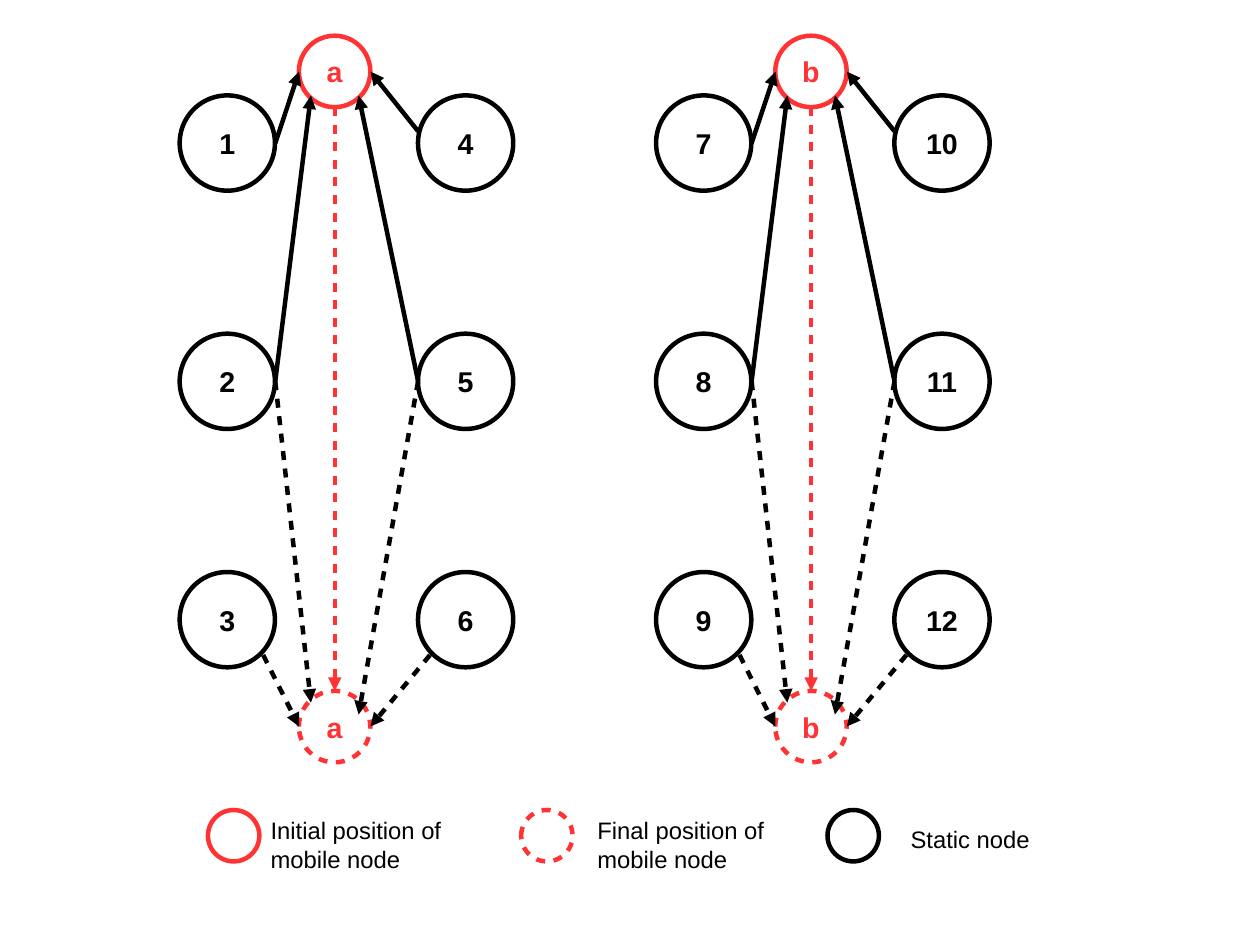
from dataclasses import dataclass

from lxml.etree import SubElement
from pptx import Presentation
from pptx.dml.color import RGBColor
from pptx.enum.shapes import MSO_CONNECTOR, MSO_SHAPE
from pptx.enum.text import MSO_ANCHOR, PP_ALIGN
from pptx.oxml.ns import qn
from pptx.slide import Slide
from pptx.text.text import TextFrame
from pptx.util import Pt

COLORS = {"static": "000000", "mobile": "FF3333", "fill": "FFFFFF", "text": "000000"}
FONT = "Arial"
LINE_WIDTH = 2.83
STATIC_SIZE, MOBILE_SIZE, LEGEND_SIZE = 60, 45, 32.4
GROUP_LEFT, GROUP_STEP = 113.2, 300.1
NODE_TOP, NODE_STEP = 60.1, 150.1
MOBILE_OFFSET, INITIAL_TOP, FINAL_TOP = 75.1, 22.5, 435.2
LEGEND_TOP = 510.2


@dataclass
class Circle:
    left: float
    top: float
    size: float
    color: str
    label: str = ""
    dashed: bool = False


@dataclass
class Arrow:
    x1: float
    y1: float
    x2: float
    y2: float
    color: str = "static"
    dashed: bool = False


@dataclass
class LegendItem:
    circle_left: float
    text_left: float
    text_top: float
    text: str
    color: str
    dashed: bool = False


ARROWS = [
    Arrow(97.7, 67.6, 97.7, 435.2, "mobile", True),
    Arrow(60.2, 90.2, 75.2, 45.1),
    Arrow(150.2, 82.7, 120.2, 45.1),
    Arrow(60.2, 240.2, 82.7, 60.2),
    Arrow(150.2, 240.2, 112.7, 60.2),
    Arrow(52.6, 412.6, 75.2, 457.6, dashed=True),
    Arrow(157.7, 412.6, 120.2, 457.6, dashed=True),
    Arrow(60.2, 240.2, 82.7, 442.6, dashed=True),
    Arrow(150.2, 240.2, 112.7, 450.1, dashed=True),
]

LEGEND = [
    LegendItem(131, 163.4, 510.2, "Initial position of mobile node", "mobile"),
    LegendItem(328.3, 369.3, 510.2, "Final position of mobile node", "mobile", True),
    LegendItem(521.3, 566.6, 515.9, "Static node", "static"),
]


def rgb(name: str) -> RGBColor:
    return RGBColor.from_string(COLORS[name])


def style_line(sp, color: str, dashed: bool) -> None:
    sp.line.color.rgb = rgb(color)
    sp.line.width = Pt(LINE_WIDTH)
    if dashed:
        dash = SubElement(sp.line._get_or_add_ln(), qn("a:custDash"))
        SubElement(dash, qn("a:ds"), d="200000", sp="190000")


def set_text(tf: TextFrame, text: str, size: float, color: str, bold: bool) -> None:
    tf.text = text
    for r in tf.paragraphs[0].runs:
        r.font.name = FONT
        r.font.size = Pt(size)
        r.font.bold = bold
        r.font.color.rgb = rgb(color)


def draw_circle(s: Slide, c: Circle) -> None:
    sp = s.shapes.add_shape(MSO_SHAPE.OVAL, Pt(c.left), Pt(c.top), Pt(c.size), Pt(c.size))
    sp.shadow.inherit = False
    sp.fill.solid()
    sp.fill.fore_color.rgb = rgb("fill")
    style_line(sp, c.color, c.dashed)
    if c.label:
        tf = sp.text_frame
        set_text(tf, c.label, 18, c.color, True)
        tf.word_wrap = False
        tf.vertical_anchor = MSO_ANCHOR.MIDDLE
        tf.margin_left = tf.margin_right = Pt(8.5)
        tf.margin_top = tf.margin_bottom = Pt(5)
        tf.paragraphs[0].alignment = PP_ALIGN.CENTER


def draw_arrow(s: Slide, a: Arrow, dx: float) -> None:
    cx = s.shapes.add_connector(
        MSO_CONNECTOR.STRAIGHT, Pt(a.x1 + dx), Pt(a.y1), Pt(a.x2 + dx), Pt(a.y2)
    )
    style_line(cx, a.color, a.dashed)
    SubElement(cx.line._get_or_add_ln(), qn("a:tailEnd"), type="triangle")
    SubElement(cx._element.spPr, qn("a:effectLst"))


def draw_group(s: Slide, index: int, mobile: str) -> None:
    left = GROUP_LEFT + index * GROUP_STEP
    for i in range(6):
        col, row = divmod(i, 3)
        draw_circle(s, Circle(left + col * NODE_STEP, NODE_TOP + row * NODE_STEP,
                              STATIC_SIZE, "static", str(6 * index + i + 1)))
    for top, dashed in ((INITIAL_TOP, False), (FINAL_TOP, True)):
        draw_circle(s, Circle(left + MOBILE_OFFSET, top, MOBILE_SIZE, "mobile", mobile, dashed))
    for arrow in ARROWS:
        draw_arrow(s, arrow, left)


def draw_legend_item(s: Slide, item: LegendItem) -> None:
    draw_circle(s, Circle(item.circle_left, LEGEND_TOP, LEGEND_SIZE,
                          item.color, dashed=item.dashed))
    tb = s.shapes.add_textbox(Pt(item.text_left), Pt(item.text_top), Pt(152.6), Pt(40))
    tb.text_frame.word_wrap = True
    set_text(tb.text_frame, item.text, 15, "text", False)


def main() -> None:
    prs = Presentation()
    prs.slide_width, prs.slide_height = Pt(793.75), Pt(595.25)
    s = prs.slides.add_slide(prs.slide_layouts[6])
    for index, mobile in enumerate("ab"):
        draw_group(s, index, mobile)
    for item in LEGEND:
        draw_legend_item(s, item)
    prs.save("out.pptx")


if __name__ == "__main__":
    main()
